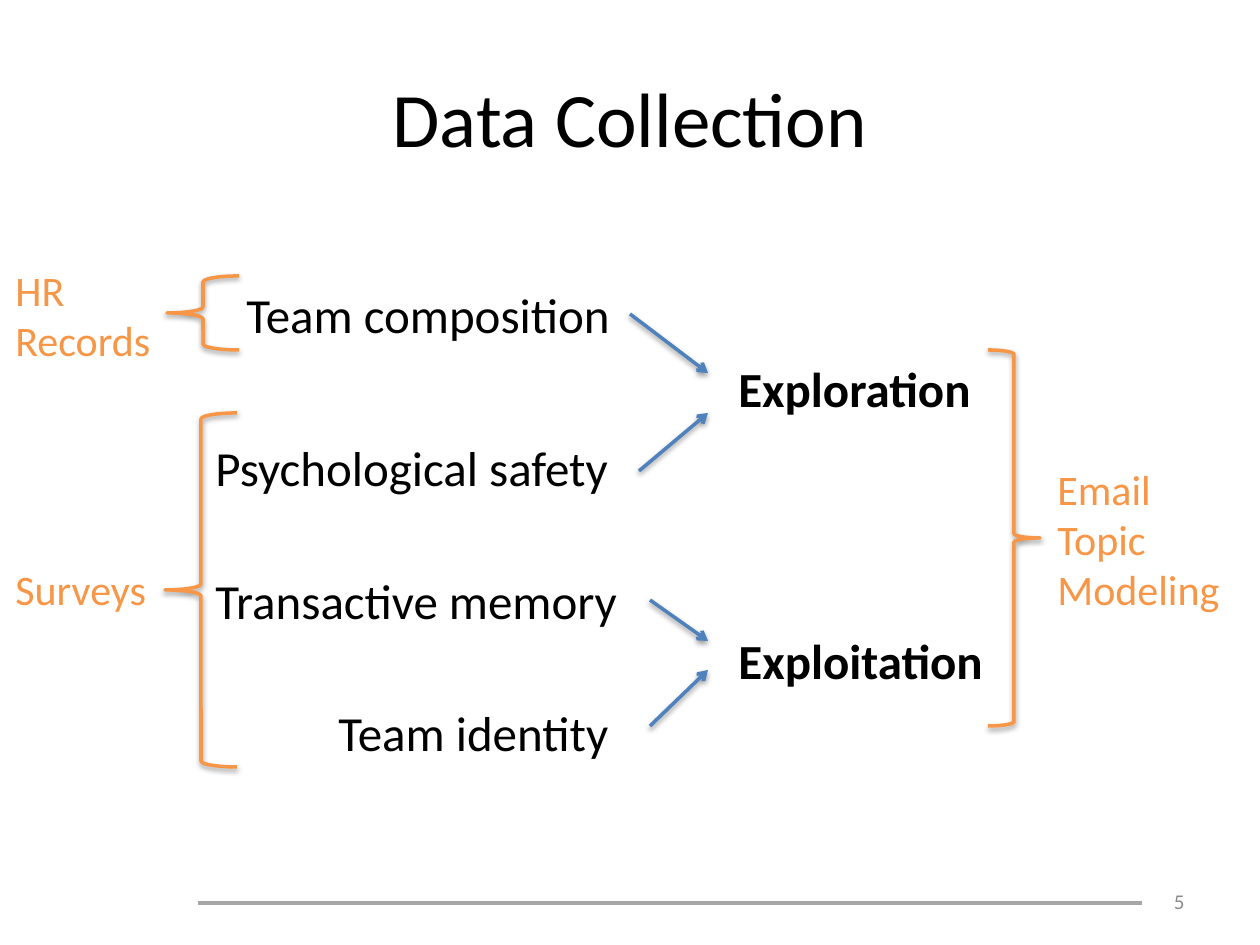
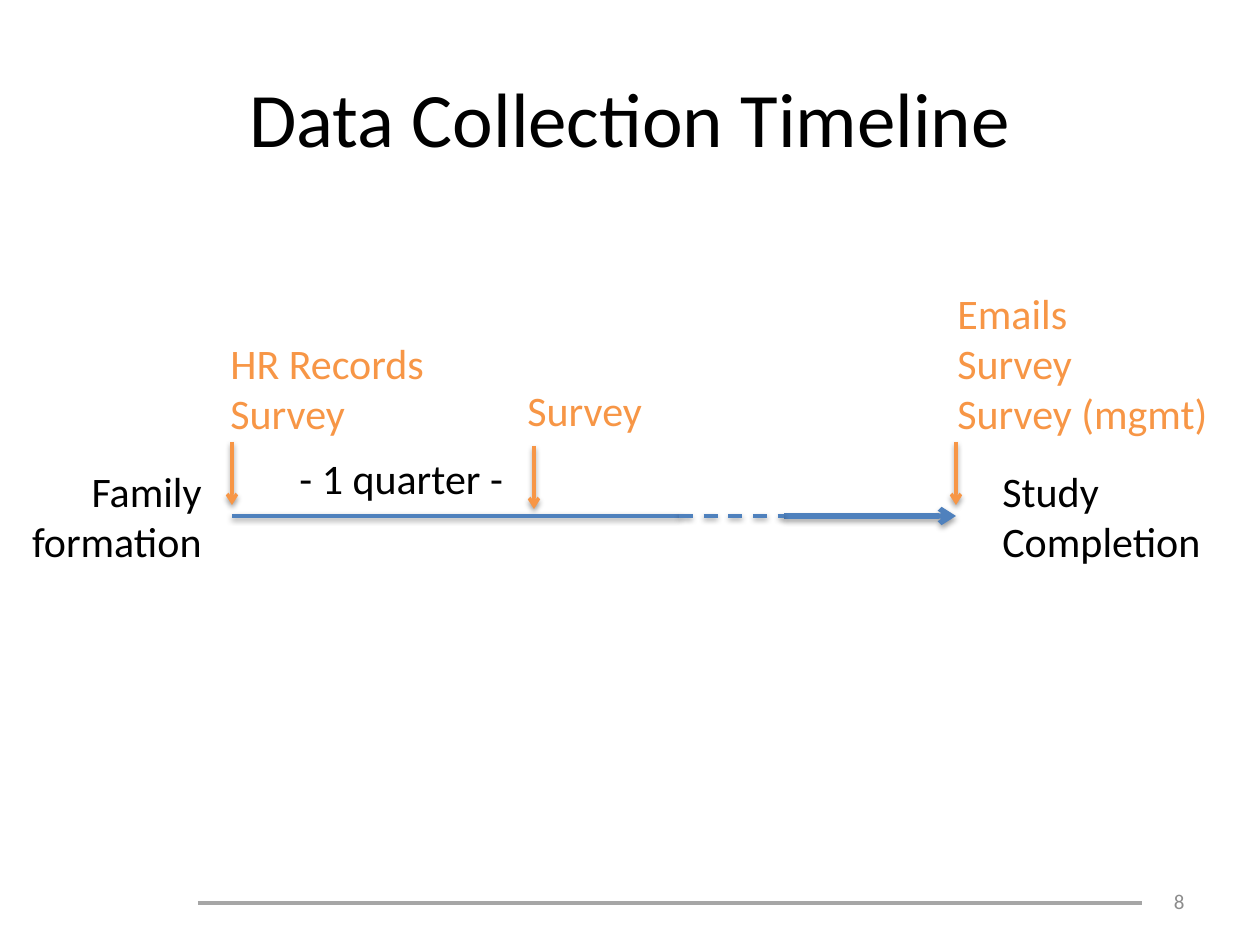
from lxml.etree import SubElement
from pptx import Presentation
from pptx.dml.color import RGBColor
from pptx.enum.dml import MSO_LINE
from pptx.enum.shapes import MSO_CONNECTOR, MSO_SHAPE
from pptx.enum.text import MSO_ANCHOR, MSO_AUTO_SIZE, PP_ALIGN
from pptx.oxml.ns import qn
from pptx.util import Emu, Pt

BLACK = RGBColor(0x00, 0x00, 0x00)
BLUE = RGBColor(0x4F, 0x81, 0xBD)
ORANGE = RGBColor(0xF7, 0x96, 0x46)
GREY = RGBColor(0x8C, 0x8C, 0x8C)
SILVER = RGBColor(0xA6, 0xA6, 0xA6)
FONT = "Calibri"


def px(value):
    return Emu(round(value * 914400 / 126))


def put(target, values):
    for name, value in values.items():
        setattr(target, name, value)


def write(frame, text, size, color, align=PP_ALIGN.LEFT, bold=False):
    frame.text = text
    look = {"size": Pt(size), "name": FONT, "bold": bold}
    for line in frame.paragraphs:
        line.alignment = align
        for run in line.runs:
            put(run.font, look)
            run.font.color.rgb = color


def label(slide, box, text, size=24, color=ORANGE, wrap=True, **style):
    shape = slide.shapes.add_textbox(*map(px, box))
    put(shape.text_frame, {"word_wrap": wrap, "auto_size": MSO_AUTO_SIZE.SHAPE_TO_FIT_TEXT})
    write(shape.text_frame, text, size, color, **style)


def shade(shape, show=True):
    effect = SubElement(shape.element.spPr, qn("a:effectLst"))
    if show:
        outer = SubElement(effect, qn("a:outerShdw"), blurRad="40000",
                           dist="20000", dir="5400000", rotWithShape="0")
        tint = SubElement(outer, qn("a:srgbClr"), val="000000")
        SubElement(tint, qn("a:alpha"), val="38000")


def stroke(shape, color, width):
    shape.line.width = Pt(width)
    shape.line.color.rgb = color


def line(slide, start, end, color=BLUE, width=2, head=True, dash=None, shadow=True):
    link = slide.shapes.add_connector(MSO_CONNECTOR.STRAIGHT, *map(px, start + end))
    stroke(link, color, width)
    if dash:
        link.line.dash_style = dash
    if head:
        SubElement(link.element.spPr.find(qn("a:ln")), qn("a:tailEnd"), type="arrow")
    shade(link, shadow)


def brace(slide, kind, box):
    shape = slide.shapes.add_shape(kind, *map(px, box))
    shape.fill.background()
    stroke(shape, ORANGE, 2)
    shade(shape)


def start(deck, title, number):
    slide = deck.slides.add_slide(deck.slide_layouts[5])
    head = slide.shapes.title
    put(head, {"left": px(63), "top": px(38), "width": px(1134), "height": px(158)})
    head.text_frame.vertical_anchor = MSO_ANCHOR.MIDDLE
    write(head.text_frame, title, 44, BLACK, PP_ALIGN.CENTER)
    foot = slide.shapes.add_textbox(px(903), px(876), px(294), px(50))
    put(foot.text_frame, {"word_wrap": True, "vertical_anchor": MSO_ANCHOR.MIDDLE})
    write(foot.text_frame, number, 12, GREY, PP_ALIGN.RIGHT)
    line(slide, (198, 903), (1142, 903), SILVER, head=False, shadow=False)
    return slide


def sources(deck):
    slide = start(deck, "Data Collection", "5")
    for left, top, width, text, bold in (
        (234, 278, 398, "Team composition", False),
        (203, 431, 427, "Psychological safety", False),
        (726, 352, 262, "Exploration", True),
        (726, 624, 273, "Exploitation", True),
        (203, 564, 436, "Transactive memory", False),
        (326, 696, 304, "Team identity", False),
    ):
        label(slide, (left, top, width, 72), text, 28, BLACK, False, bold=bold)
    for left, top, end in ((630, 314, 373), (639, 471, 413), (650, 600, 641), (650, 726, 670)):
        line(slide, (left, top), (708, end))
    brace(slide, MSO_SHAPE.RIGHT_BRACE, (988, 350, 52, 376))
    brace(slide, MSO_SHAPE.LEFT_BRACE, (165, 413, 72, 354))
    brace(slide, MSO_SHAPE.LEFT_BRACE, (167, 276, 72, 74))
    label(slide, (1045, 457, 205, 165), "Email Topic Modeling")
    label(slide, (3, 557, 205, 63), "Surveys")
    label(slide, (3, 258, 205, 115), "HR Records")


def timeline(deck):
    slide = start(deck, "Data Collection Timeline", "8")
    axis = 516
    line(slide, (784, axis), (956, axis), width=3)
    label(slide, (-32, 459, 246, 115), "Family formation", color=BLACK, align=PP_ALIGN.RIGHT)
    label(slide, (990, 459, 263, 115), "Study Completion", color=BLACK)
    for left, top in ((232, 442), (956, 442), (534, 446)):
        line(slide, (left, top), (left, top + 63), ORANGE)
    label(slide, (287, 446, 232, 63), "- 1 quarter - ", color=BLACK, wrap=False)
    label(slide, (218, 331, 345, 115), "HR Records\nSurvey")
    label(slide, (515, 378, 205, 63), "Survey")
    label(slide, (945, 281, 295, 165), "Emails\nSurvey\nSurvey (mgmt)")
    line(slide, (232, axis), (679, axis), head=False)
    line(slide, (679, axis), (784, axis), head=False, dash=MSO_LINE.DASH)


def main():
    deck = Presentation()
    put(deck, {"slide_width": px(1260), "slide_height": px(945)})
    sources(deck)
    timeline(deck)
    deck.save("out.pptx")


main()
